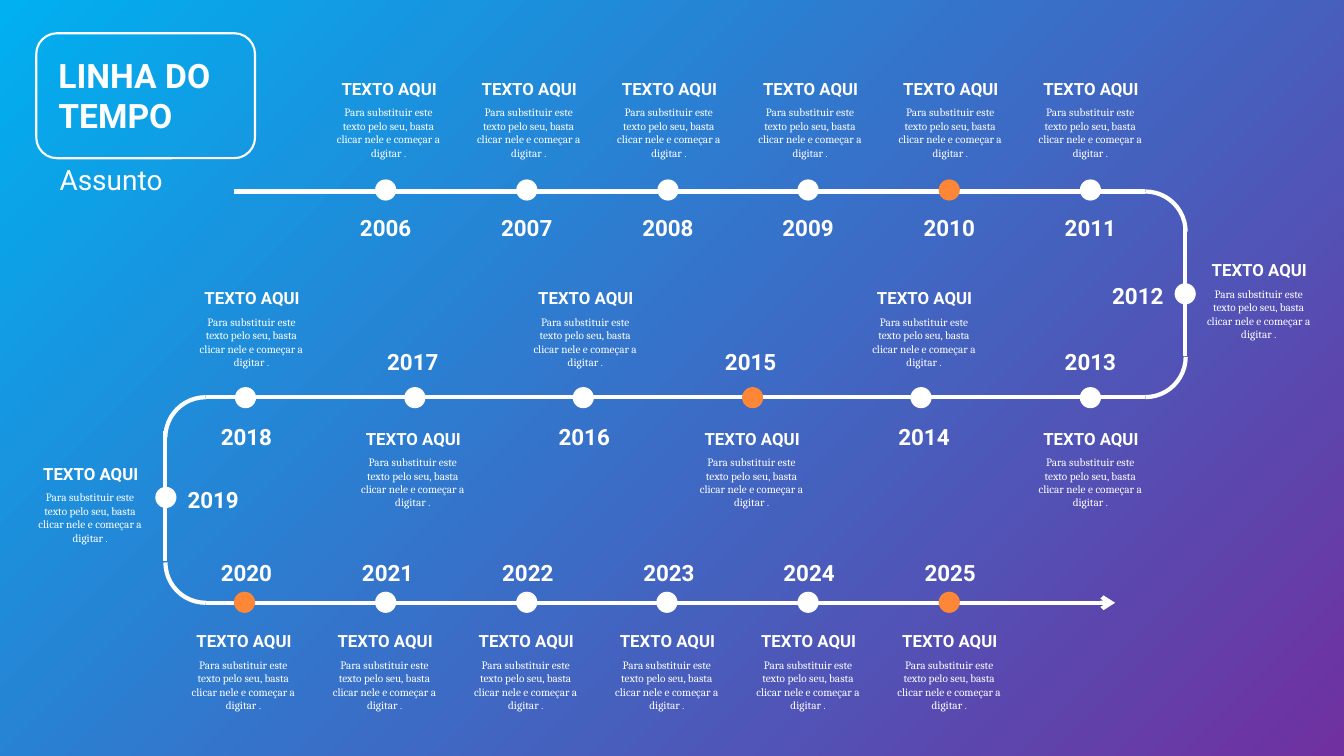
"""Builds a winding timeline slide from 2006 to 2025."""
from dataclasses import dataclass

from lxml.etree import SubElement
from pptx import Presentation
from pptx.dml.color import RGBColor
from pptx.enum.shapes import MSO_CONNECTOR, MSO_SHAPE
from pptx.enum.text import MSO_ANCHOR, MSO_AUTO_SIZE, PP_ALIGN
from pptx.oxml.ns import qn
from pptx.util import Pt

PX = 9144


@dataclass(frozen=True)
class Theme:
    """Colours, fonts, type sizes and line widths of the slide."""
    white: RGBColor = RGBColor.from_string("FFFFFF")
    accent: RGBColor = RGBColor.from_string("FE8637")
    start: RGBColor = RGBColor.from_string("00B0F0")
    end: RGBColor = RGBColor.from_string("7030A0")
    sans: str = "Roboto"
    serif: str = "Cambria"
    title: int = 24
    subtitle: int = 20
    year: int = 16
    heading: int = 12
    body: int = 8
    stop: int = 7
    track: float = 3
    frame: float = 1.5


def write(para, text, font, size, color, bold=False):
    """Adds a formatted span to a paragraph."""
    span = para.add_run()
    span.text = text
    span.font.name = font
    span.font.size = Pt(size)
    span.font.bold = bold
    span.font.color.rgb = color


def spread(first, last, count=6):
    """Returns whole numbers evenly spaced between two ends."""
    return [round(first + (last - first) * i / (count - 1)) for i in range(count)]


class Timeline:
    """Draws timeline elements on one slide, with lengths in px."""

    def __init__(self, page, theme):
        """Keeps the slide and its style."""
        self.page = page
        self.theme = theme

    def background(self):
        """Fills the slide with a diagonal gradient."""
        fill = self.page.background.fill
        fill.gradient()
        fill.gradient_angle = 315
        for stop, color in zip(fill.gradient_stops, (self.theme.start, self.theme.end)):
            stop.color.rgb = color

    def place(self, box, left, top, width, height):
        """Moves a box and sets its size."""
        box.left, box.top = left * PX, top * PX
        box.width, box.height = width * PX, height * PX

    def prepare(self, box, align):
        """Sets up a text frame and returns its first paragraph."""
        frame = box.text_frame
        frame.word_wrap = True
        frame.auto_size = MSO_AUTO_SIZE.SHAPE_TO_FIT_TEXT
        frame.vertical_anchor = MSO_ANCHOR.TOP
        para = frame.paragraphs[0]
        para.alignment = align
        para.space_before = Pt(0)
        return para

    def placeholder(self, index, text, area, size, bold=False):
        """Fills and moves a placeholder of the layout."""
        box = self.page.placeholders[index]
        self.place(box, *area)
        para = self.prepare(box, PP_ALIGN.LEFT)
        write(para, text, self.theme.sans, size, self.theme.white, bold)

    def label(self, text, area, size):
        """Adds a centred bold label."""
        para = self.text_box(area)
        write(para, text, self.theme.sans, size, self.theme.white, bold=True)

    def text_box(self, area):
        """Adds an empty centred text box and returns its paragraph."""
        box = self.page.shapes.add_textbox(*(value * PX for value in area))
        return self.prepare(box, PP_ALIGN.CENTER)

    def note(self, left, top):
        """Adds a heading with its description below."""
        theme = self.theme
        self.label("TEXTO AQUI", (left, top, 128, 30), theme.heading)
        para = self.text_box((left, top + 27, 127, 63))
        text = "Para substituir este texto pelo seu, basta clicar nele e começar a digitar "
        write(para, text, theme.serif, theme.body, theme.white)
        write(para, ".", theme.serif, theme.stop, theme.white)

    def shape(self, kind, left, top, width, height):
        """Adds a preset shape without shadow."""
        shape = self.page.shapes.add_shape(
            kind, left * PX, top * PX, width * PX, height * PX)
        shape.shadow.inherit = False
        return shape

    def outline(self, kind, area, width, rotation=0):
        """Adds an unfilled shape with a white line."""
        shape = self.shape(kind, *area)
        shape.rotation = rotation
        shape.fill.background()
        shape.line.color.rgb = self.theme.white
        shape.line.width = Pt(width)

    def dot(self, left, top, color):
        """Adds a round marker."""
        dot = self.shape(MSO_SHAPE.FLOWCHART_CONNECTOR, left, top, 21, 21)
        dot.fill.solid()
        dot.fill.fore_color.rgb = color
        dot.line.fill.background()

    def line(self, x1, y1, x2, y2, arrow=False):
        """Adds a straight piece of track, with an arrowhead if asked."""
        line = self.page.shapes.add_connector(
            MSO_CONNECTOR.STRAIGHT, x1 * PX, y1 * PX, x2 * PX, y2 * PX)
        line.line.color.rgb = self.theme.white
        line.line.width = Pt(self.theme.track)
        if arrow:
            SubElement(line.line._get_or_add_ln(), qn("a:tailEnd"), type="arrow")
        SubElement(line._element.spPr, qn("a:effectLst"))

    def bend(self, side, left, top, rotations):
        """Adds a vertical side with a rounded corner at each end."""
        self.line(side, top + 163, side, top + 34)
        for corner_top, rotation in zip((top, top + 124), rotations):
            area = (left, corner_top, 80, 80)
            self.outline(MSO_SHAPE.ARC, area, self.theme.track, rotation)

    def event(self, year, dot, year_at, note_at):
        """Adds the marker, year and note of one event."""
        highlighted = year % 5 == 0
        self.note(*note_at)
        self.label(str(year), (*year_at, 73, 37), self.theme.year)
        self.dot(*dot, self.theme.accent if highlighted else self.theme.white)

    def row(self, first_year, dots, years, notes):
        """Adds a row of events from lists of positions."""
        for i, positions in enumerate(zip(dots, years, notes)):
            self.event(first_year + i, *positions)


def at_height(lefts, *tops):
    """Pairs left positions with tops used in turn."""
    return [(left, tops[i % len(tops)]) for i, left in enumerate(lefts)]


def main():
    """Builds and saves the deck."""
    deck = Presentation()
    deck.slide_width, deck.slide_height = 1333 * PX, 750 * PX
    theme = Theme()
    timeline = Timeline(deck.slides.add_slide(deck.slide_layouts[0]), theme)
    timeline.background()

    timeline.line(232, 190, 1136, 190)
    timeline.line(1136, 394, 204, 394)
    timeline.line(1088, 598, 204, 598)
    timeline.line(1082, 598, 1106, 598, arrow=True)
    timeline.bend(1175, 1096, 190, (0, 90))
    timeline.bend(164, 164, 394, (270, 180))

    timeline.row(2006, at_height(spread(372, 1071), 178),
                 at_height(spread(346, 1045), 208),
                 at_height(spread(322, 1018), 73))
    timeline.event(2012, (1165, 281), (1092, 275), (1185, 253))
    timeline.row(2013, at_height(spread(1071, 233), 384),
                 at_height((1045, 880, 708, 543, 373, 208), 340, 415),
                 at_height((1018, 853, 682, 517, 346, 186), 420, 281))
    timeline.event(2019, (154, 483), (175, 477), (26, 455))
    timeline.row(2020, at_height(spread(232, 931), 587),
                 at_height(spread(208, 906), 550),
                 at_height(spread(178, 878), 621))

    timeline.outline(MSO_SHAPE.ROUNDED_RECTANGLE, (36, 33, 217, 124), theme.frame)
    timeline.placeholder(0, "LINHA DO TEMPO", (48, 49, 194, 90), theme.title, bold=True)
    timeline.placeholder(1, "Assunto", (49, 156, 193, 43), theme.subtitle)
    deck.save("out.pptx")


if __name__ == "__main__":
    main()
